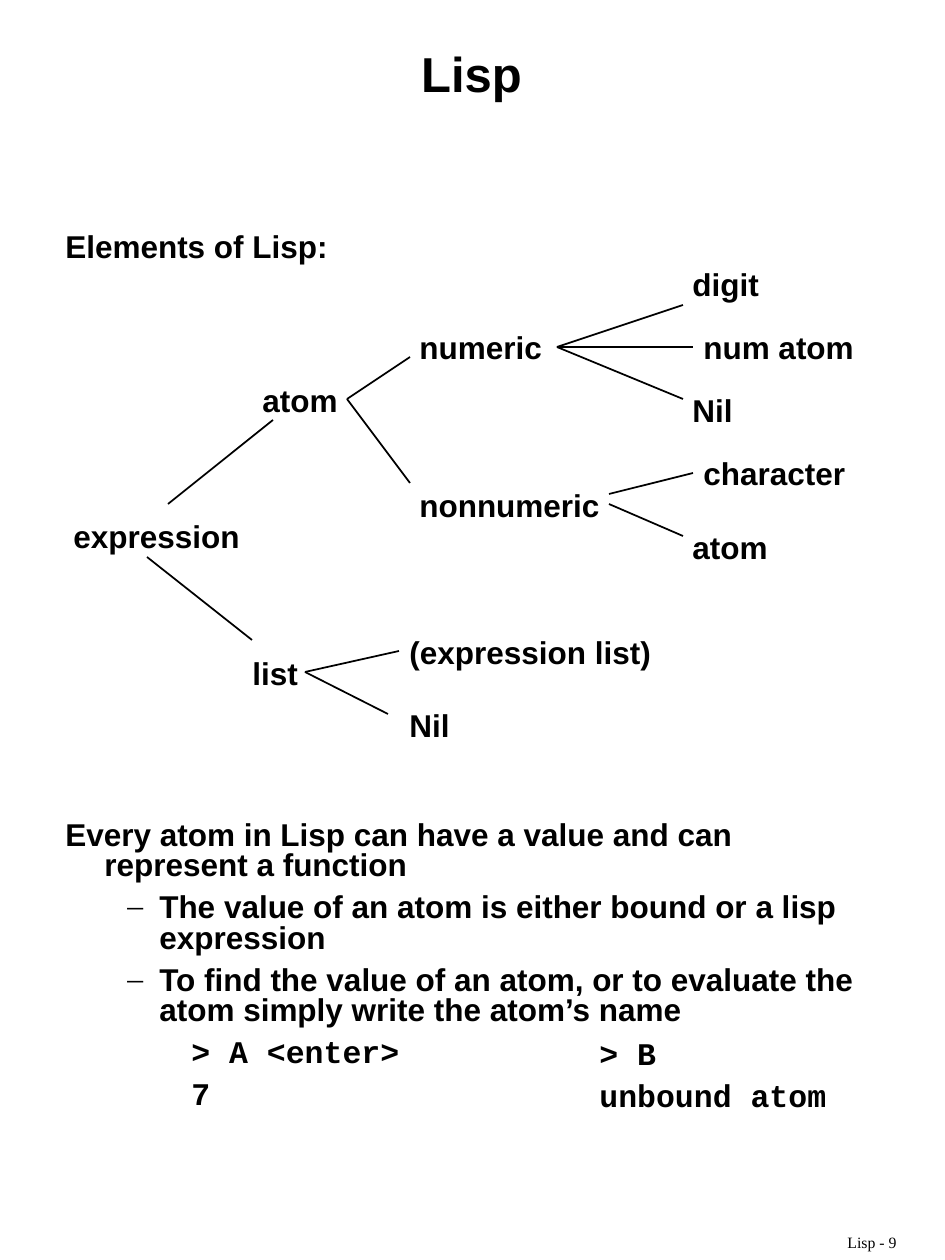
from dataclasses import dataclass

from lxml.etree import SubElement
from pptx import Presentation
from pptx.dml.color import RGBColor
from pptx.enum.shapes import MSO_CONNECTOR
from pptx.enum.text import MSO_ANCHOR, MSO_AUTO_SIZE, PP_ALIGN
from pptx.oxml.ns import qn
from pptx.util import Emu, Pt


@dataclass(frozen=True)
class Theme:
    ink: RGBColor = RGBColor(0, 0, 0)
    sans: str = "Arial"
    code: str = "Courier New"
    serif: str = "Times New Roman"
    title_size: int = 28
    text_size: int = 18
    footer_size: int = 9
    line_width: int = 1


theme = Theme()
EMU_PER_PX = 914400 / 126


def px(*lengths):
    """Turn pixel lengths into a list of EMU lengths."""
    return [Emu(round(length * EMU_PER_PX)) for length in lengths]


def style(paragraph, size=theme.text_size, name=theme.sans, bold=True):
    for run in paragraph.runs:
        run.font.size = Pt(size)
        run.font.name = name
        run.font.bold = bold
        run.font.color.rgb = theme.ink


presentation = Presentation()
presentation.slide_width, presentation.slide_height = px(945, 1260)
slide = presentation.slides.add_slide(presentation.slide_layouts[5])

# Title
title = slide.shapes.title
title.left, title.top, title.width, title.height = px(103, 38, 737, 77)
title.text_frame.text = "Lisp"
title.text_frame.auto_size = MSO_AUTO_SIZE.NONE
title.text_frame.vertical_anchor = MSO_ANCHOR.MIDDLE
paragraph = title.text_frame.paragraphs[0]
paragraph.alignment = PP_ALIGN.CENTER
paragraph.line_spacing = 0.9
style(paragraph, theme.title_size)

# Text blocks: text, level, left margin, first-line indent, font
heading = [("Elements of Lisp:", 0, 39, -39, theme.sans)]
explanation = [
    ("Every atom in Lisp can have a value and can represent a function", 0, 39, -39, theme.sans),
    ("The value of an atom is either bound or a lisp expression", 1, 94, -32, theme.sans),
    ("To find the value of an atom, or to evaluate the atom simply write the atom’s name",
     1, 94, -32, theme.sans),
    ("> A <enter>", 2, 126, 0, theme.code),
    ("7", 2, 126, 0, theme.code),
]
unbound_example = [
    ("> B", 0, 0, 0, theme.code),
    ("unbound atom", 0, 0, 0, theme.code),
]
blocks = [
    (53, 228, 829, 50, heading),
    (53, 816, 829, 376, explanation),
    (587, 1035, 295, 92, unbound_example),
]
for left, top, width, height, lines in blocks:
    text_frame = slide.shapes.add_textbox(*px(left, top, width, height)).text_frame
    text_frame.word_wrap = True
    for index, (text, level, margin, indent, font_name) in enumerate(lines):
        paragraph = text_frame.add_paragraph() if index else text_frame.paragraphs[0]
        paragraph.text = text
        paragraph.level = level
        paragraph.line_spacing = 0.8
        if index:
            paragraph.space_before = Pt(6.8)
        properties = paragraph._p.get_or_add_pPr()
        margin_emu, indent_emu = px(margin, indent)
        properties.set("marL", str(margin_emu))
        properties.set("indent", str(indent_emu))
        if level == 1:
            SubElement(properties, qn("a:buFont"), typeface=theme.serif)
            SubElement(properties, qn("a:buChar"), char="–")
        style(paragraph, name=font_name)

# Expression tree: text, left, top, width
LABEL_HEIGHT = 50
labels = [
    ("expression", 61, 511, 196),
    ("atom", 250, 375, 105),
    ("list", 240, 648, 75),
    ("numeric", 407, 322, 151),
    ("nonnumeric", 407, 480, 209),
    ("(expression list)", 397, 627, 271),
    ("Nil", 397, 700, 70),
    ("digit", 680, 259, 96),
    ("num atom", 691, 322, 179),
    ("Nil", 680, 385, 70),
    ("character", 691, 448, 170),
    ("atom", 680, 522, 105),
]
for text, left, top, width in labels:
    text_frame = slide.shapes.add_textbox(*px(left, top, width, LABEL_HEIGHT)).text_frame
    text_frame.word_wrap = True
    text_frame.text = text
    style(text_frame.paragraphs[0])

# Branches: start point and the end points reached from it
branches = [
    ((168, 504), [(273, 420)]),
    ((147, 557), [(252, 640)]),
    ((305, 672), [(399, 651), (388, 714)]),
    ((347, 399), [(410, 357), (410, 483)]),
    ((557, 347), [(683, 305), (693, 347), (683, 399)]),
    ((609, 494), [(693, 473)]),
    ((609, 504), [(683, 536)]),
]
for start, ends in branches:
    for end in ends:
        branch = slide.shapes.add_connector(MSO_CONNECTOR.STRAIGHT, *px(*start, *end))
        branch.line.color.rgb = theme.ink
        branch.line.width = Pt(theme.line_width)
        SubElement(branch._element.spPr, qn("a:effectLst"))

# Page label
page_label = slide.shapes.add_textbox(*px(809, 1229, 126, 29))
page_label.text_frame.word_wrap = True
page_label.text_frame.text = "Lisp - 9"
paragraph = page_label.text_frame.paragraphs[0]
paragraph.alignment = PP_ALIGN.CENTER
paragraph.line_spacing = 0.9
style(paragraph, theme.footer_size, theme.serif, bold=False)

presentation.save("out.pptx")
